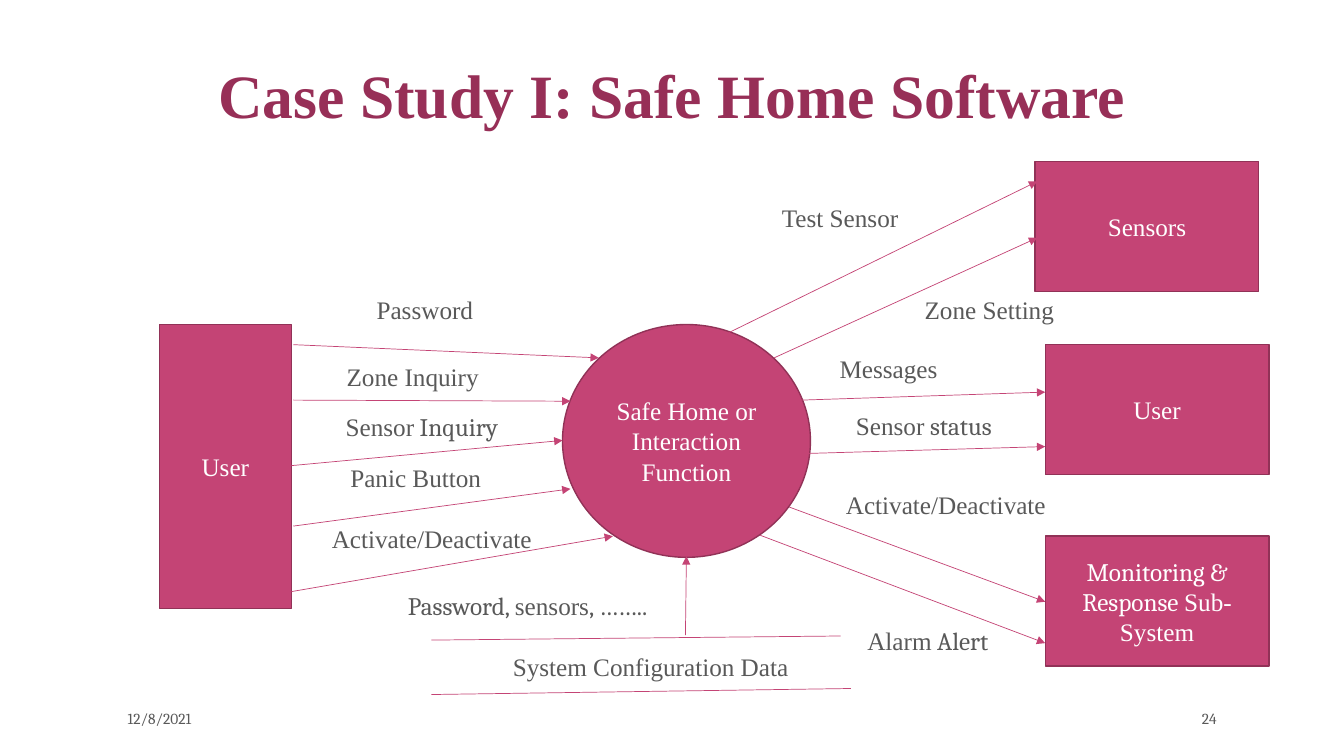
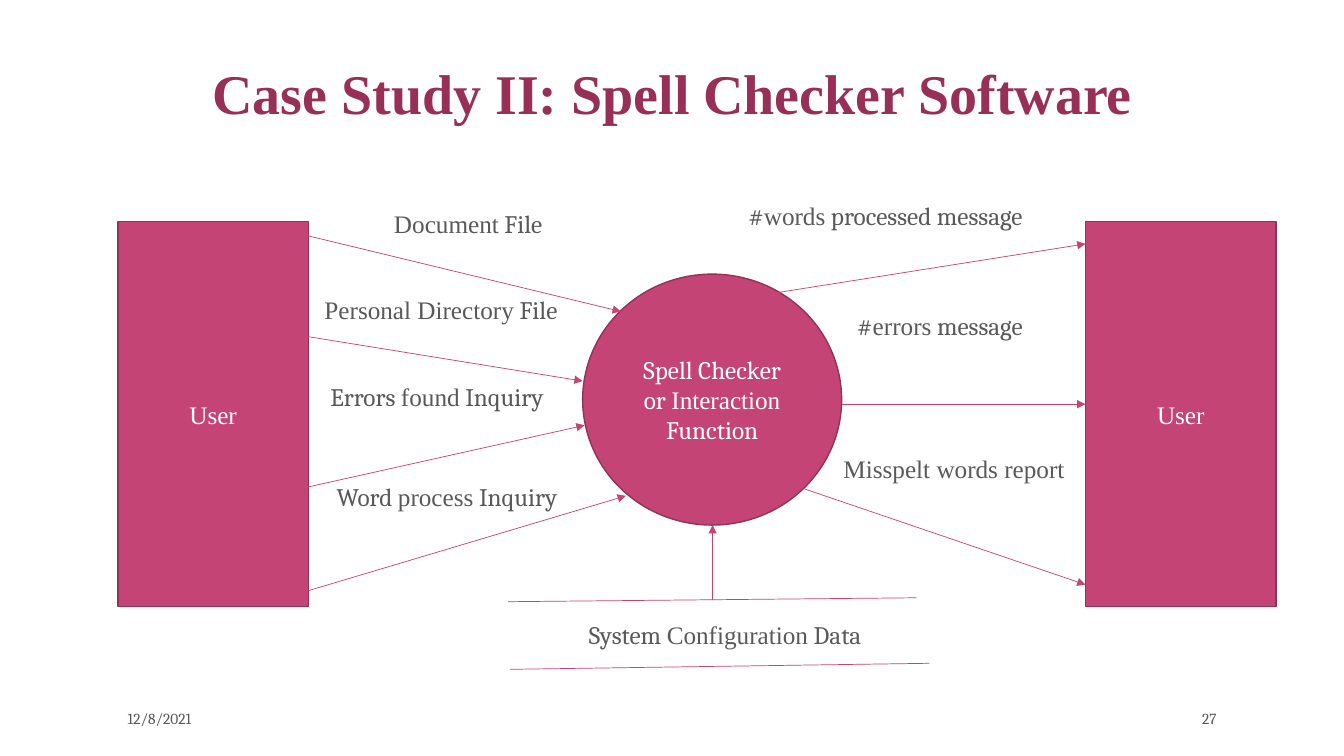
from lxml import etree
from pptx import Presentation
from pptx.dml.color import RGBColor
from pptx.enum import shapes as es, text as et
from pptx.oxml.ns import qn
from pptx.util import Pt

PINK = RGBColor(0xC4, 0x44, 0x75)
EDGE = RGBColor(0x91, 0x32, 0x57)
PLUM = RGBColor(0x97, 0x2F, 0x57)
GREY = RGBColor(0x59, 0x59, 0x59)
WHITE = RGBColor(0xFF, 0xFF, 0xFF)
FONTS = ("Times New Roman", "Cambria")
LABEL = (260, 28.8)
RECT, OVAL = es.MSO_SHAPE.RECTANGLE, es.MSO_SHAPE.OVAL
LEFT, MID, RIGHT = et.PP_ALIGN.LEFT, et.PP_ALIGN.CENTER, et.PP_ALIGN.RIGHT
TOP, CENTRE, BOTTOM = (et.MSO_ANCHOR.TOP, et.MSO_ANCHOR.MIDDLE,
                       et.MSO_ANCHOR.BOTTOM)

# In wording, "|" switches between the two fonts, starting with the first.
# Nodes: shape, wording, (left, top, width, height)
# Arrows and rules: x1, y1, x2, y2
# Labels: wording, centre x, top
SLIDES = [
    dict(
        title="Case Study I: Safe Home Software", size=44, top=4.3, page="24",
        nodes=[
            (RECT, "User", (113.8, 231.8, 94.3, 203)),
            (OVAL, "Safe Home or Interaction Function",
             (401.8, 231.8, 177.1, 166.3)),
            (RECT, "Sensors", (739.4, 115.2, 159.8, 92.9)),
            (RECT, "User", (746.6, 246.2, 159.8, 92.9)),
            (RECT, "|Monitoring & Response |Sub-System",
             (746.6, 383, 159.8, 92.9)),
        ],
        arrows=[
            (209.5, 246.2, 427.7, 255.6),
            (209.5, 285.8, 407.5, 286.6),
            (208.1, 332.6, 401.8, 314.6),
            (209.5, 375.8, 407.5, 349.2),
            (208.1, 422.6, 437.8, 383),
            (520.6, 237.6, 740.9, 129.6),
            (553, 255.6, 740.9, 169.9),
            (572.4, 285.8, 746.6, 280.1),
            (573.1, 324, 746.6, 319),
            (563.8, 362.2, 746.6, 429.8),
            (542.9, 382.3, 746.6, 459.4),
            (489.6, 453.6, 490.3, 397.4),
        ],
        rules=[(308.2, 457.2, 600.5, 454.3), (308.2, 496.1, 607.7, 491.8)],
        labels=[
            ("Password", 303.5, 206.6),
            ("Zone Inquiry", 294.8, 254.2),
            ("Sensor| Inquiry", 301.3, 290.2),
            ("Panic Button", 297, 326.5),
            ("Activate/Deactivate", 308.5, 370.1),
            ("Test Sensor", 600.1, 141.1),
            ("Zone Setting", 706.7, 206.6),
            ("Messages", 634.7, 249.1),
            ("Sensor| status", 659.9, 289.4),
            ("Activate/Deactivate", 675.7, 346.3),
            ("Alarm| Alert", 662.8, 442.8),
            ("|Password, |sensors|, ……..", 376.9, 418.3),
            ("System Configuration Data", 464.8, 461.5),
        ],
    ),
    dict(
        title="Case Study II: Spell Checker Software", size=40, top=0.7,
        page="27",
        nodes=[
            (RECT, "User", (84.2, 158.4, 136.1, 275)),
            (OVAL, "|Spell Checker or |Interaction| Function",
             (416.2, 195.8, 185, 179.3)),
            (RECT, "User", (775.4, 158.4, 136.1, 275)),
        ],
        arrows=[
            (220.3, 168.5, 443.5, 222.5),
            (220.3, 240.5, 416.2, 272.2),
            (220.3, 347.8, 417.6, 303.8),
            (220.3, 421.9, 447.1, 354.2),
            (552.2, 209.5, 775.4, 174.2),
            (601.2, 288.7, 775.4, 288.7),
            (574.6, 349.2, 775.4, 417.6),
            (509, 428.4, 509, 375.1),
        ],
        rules=[(362.9, 429.8, 654.5, 427), (364.3, 478.1, 663.8, 473.8)],
        labels=[
            ("Document| File", 334.4, 145.4),
            ("Personal Directory| File", 315, 206.6),
            ("|Errors |found| Inquiry", 312.1, 268.6),
            ("|Word |process| Inquiry", 319.3, 340.6),
            ("|#|words| processed message", 632.5, 139.7),
            ("|#|errors| message", 671.4, 218.2),
            ("Misspelt words report", 681.5, 320.4),
            ("|System |Configuration| Data", 518, 438.5),
        ],
    ),
]


def write(shape, words, size, color, align=MID, anchor=CENTRE, bold=False):
    frame = shape.text_frame
    frame.word_wrap = True
    frame.vertical_anchor = anchor
    para = frame.paragraphs[0]
    para.alignment = align
    for i, part in enumerate(words.split("|")):
        if part:
            run = para.add_run()
            run.text = part
            font = run.font
            font.name, font.size, font.bold = FONTS[i % 2], Pt(size), bold
            font.color.rgb = color
    return para


def add_text(slide, box, *args, **style):
    return write(slide.shapes.add_textbox(*map(Pt, box)), *args, **style)


def add_node(slide, kind, words, box):
    node = slide.shapes.add_shape(kind, *map(Pt, box))
    node.shadow.inherit = False
    node.fill.solid()
    node.fill.fore_color.rgb = PINK
    node.line.color.rgb = EDGE
    node.line.width = Pt(1)
    write(node, words, 18, WHITE)


def add_line(slide, ends, arrow):
    line = slide.shapes.add_connector(es.MSO_CONNECTOR.STRAIGHT,
                                      *map(Pt, ends))
    line.line.color.rgb = PINK
    line.line.width = Pt(0.5)
    props = line._element.spPr
    if arrow:
        etree.SubElement(props.find(qn("a:ln")), qn("a:tailEnd"),
                         type="triangle")
    etree.SubElement(props, qn("a:effectLst"))


def build(deck, data):
    slide = deck.slides.add_slide(deck.slide_layouts[6])
    title = add_text(slide, (84.2, data["top"], 792, 93.6), data["title"],
                     data["size"], PLUM, anchor=BOTTOM, bold=True)
    title.line_spacing = 0.9
    for words, x, align in (("|12/8/2021", 84.2, LEFT),
                            ("|" + data["page"], 789.8, RIGHT)):
        add_text(slide, (x, 504, 86.4, 18), words, 11, GREY, align)
    for node in data["nodes"]:
        add_node(slide, *node)
    for ends in data["arrows"]:
        add_line(slide, ends, True)
    for ends in data["rules"]:
        add_line(slide, ends, False)
    wide, high = LABEL
    for words, x, y in data["labels"]:
        add_text(slide, (x - wide / 2, y, wide, high), words, 18, GREY,
                 anchor=TOP)


def main():
    deck = Presentation()
    deck.slide_width, deck.slide_height = Pt(960), Pt(540)
    for data in SLIDES:
        build(deck, data)
    deck.save("out.pptx")


if __name__ == "__main__":
    main()
